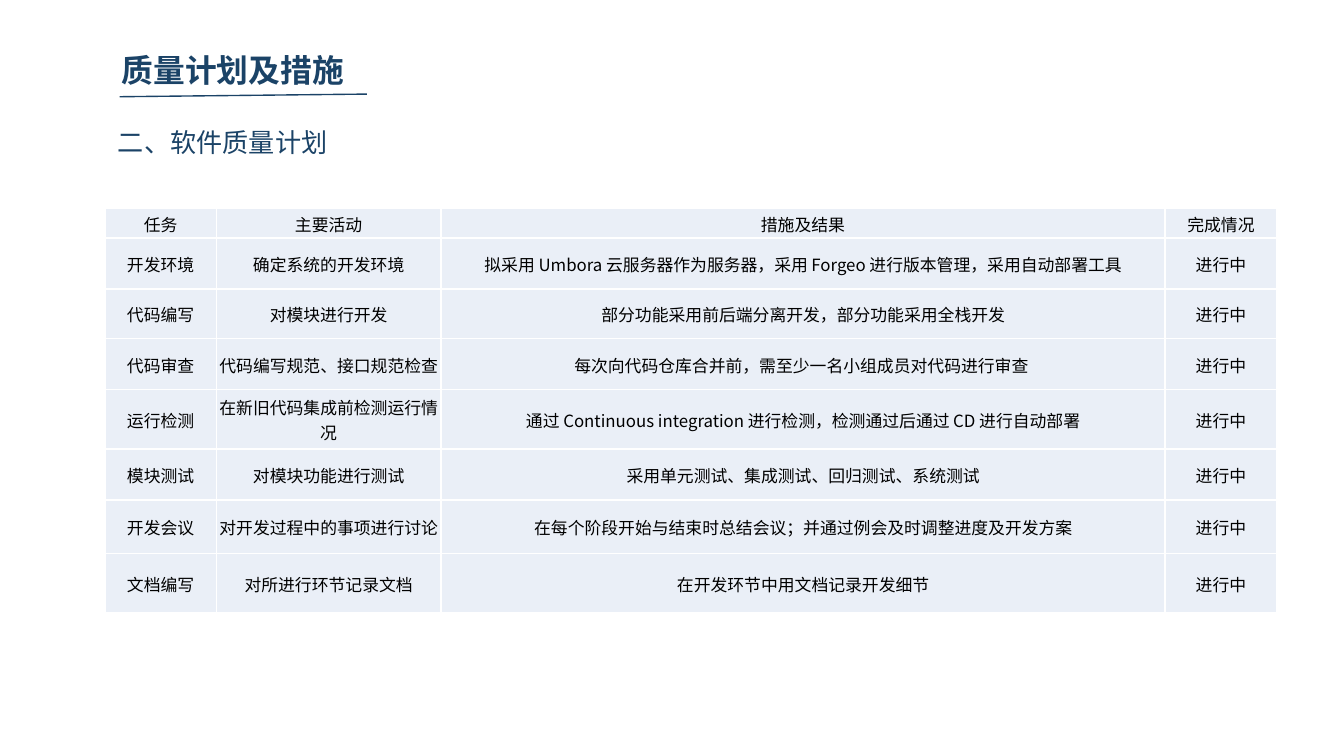
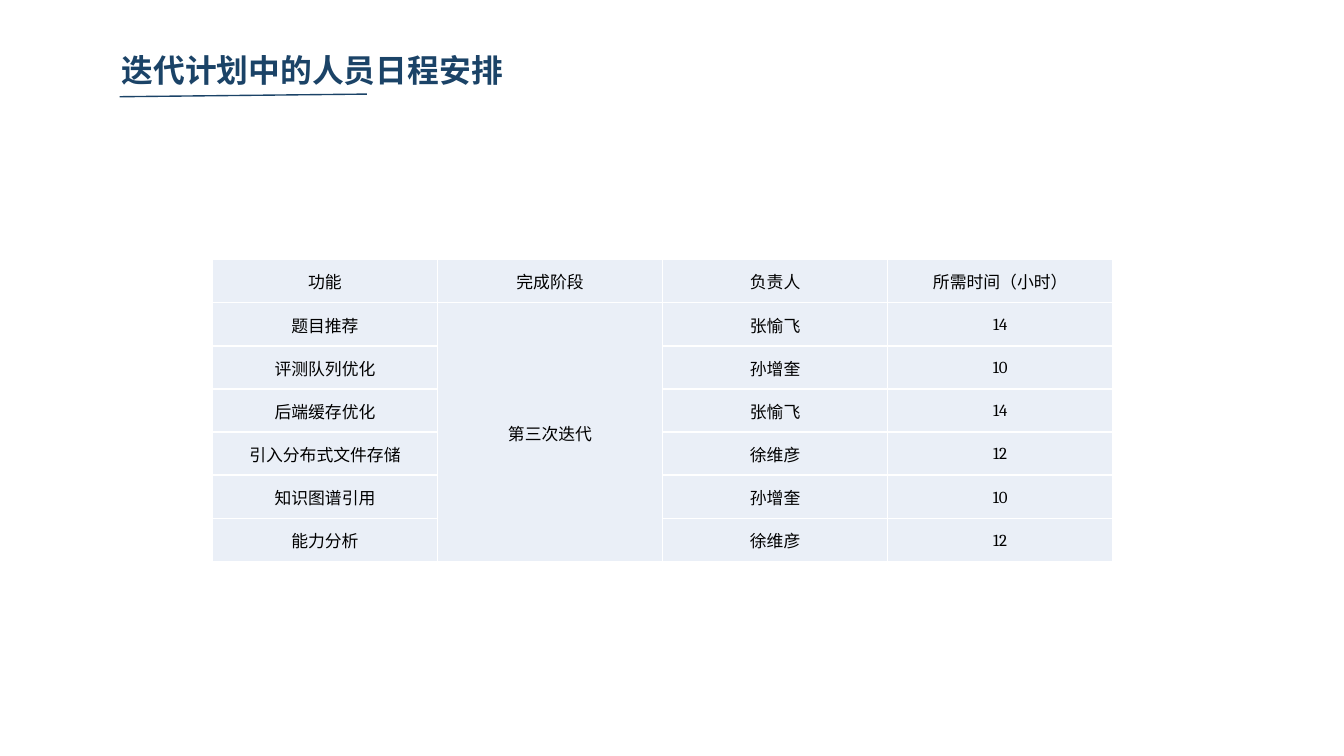
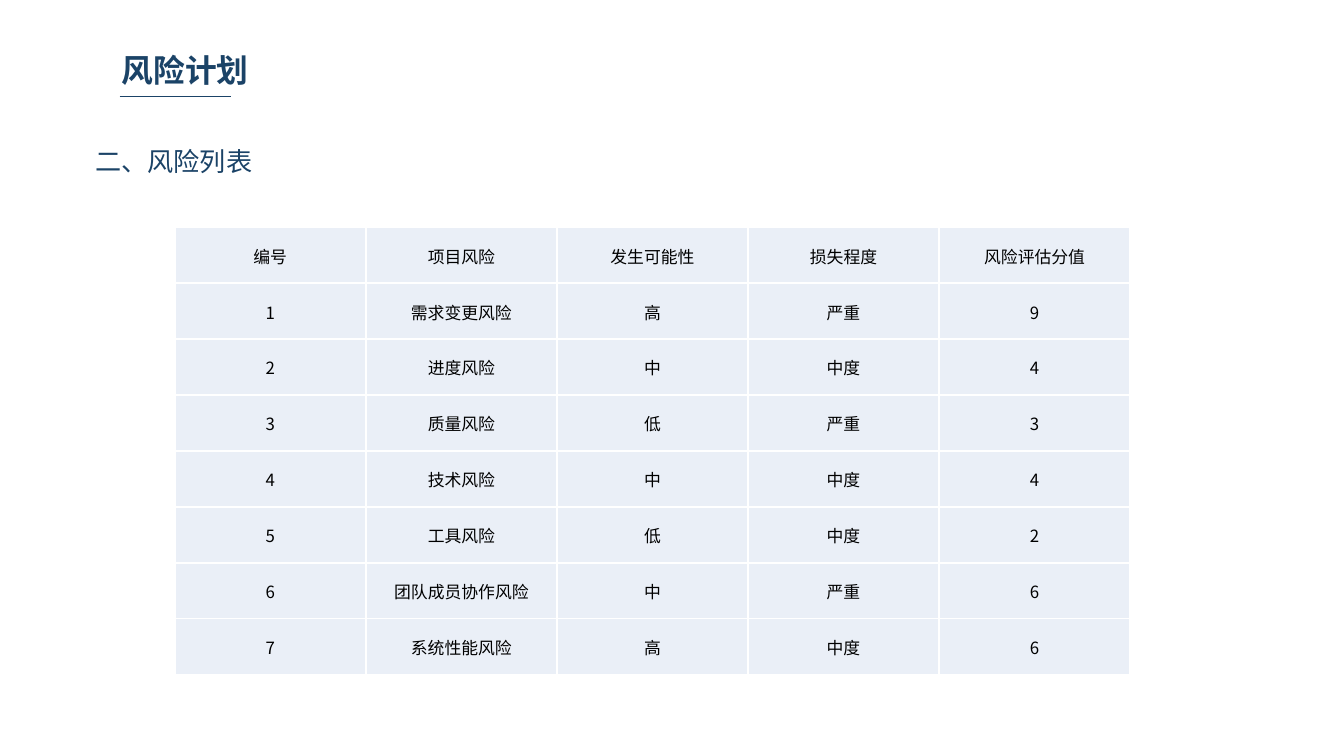
from pptx import Presentation
from pptx import util as u
from pptx.dml.color import RGBColor
from pptx.enum import shapes, text
from pptx.oxml import ns
from lxml import etree

NAVY, BLACK, WHITE, PALE = "1B4367", "000000", "FFFFFF", "EAEFF7"
SANS, SERIF = "Noto Sans CJK SC", "Cambria"
TITLE_BOX = (0.78, 0.34, 3.91, 0.36)
CELL_INSETS = (0.01, 0.01, 0.01, 0)
ONGOING = "进行中"


def colour(hex_string):
    return RGBColor.from_string(hex_string)


def write(frame, words, size=9, font=SANS, ink=BLACK, bold=False,
          align=text.PP_ALIGN.LEFT):
    paragraph = frame.paragraphs[0]
    paragraph.alignment = align
    run = paragraph.add_run()
    run.text = words
    run.font.size = u.Pt(size)
    run.font.bold = bold
    run.font.name = font
    run.font.color.rgb = colour(ink)
    east_asian = etree.SubElement(run.font._element, ns.qn("a:ea"))
    east_asian.set("typeface", SANS)


def set_insets(target, left, top, right, bottom):
    target.margin_left, target.margin_top = u.Inches(left), u.Inches(top)
    target.margin_right, target.margin_bottom = u.Inches(right), u.Inches(bottom)


def add_heading(slide, words, box, rule_width, rise):
    title = slide.shapes.title
    left, top, width, height = map(u.Inches, box)
    title.left, title.top, title.width, title.height = left, top, width, height
    frame = title.text_frame
    frame.auto_size = text.MSO_AUTO_SIZE.NONE
    frame.word_wrap = True
    frame.vertical_anchor = text.MSO_ANCHOR.TOP
    set_insets(frame, 0.07, 0.04, 0.07, 0.04)
    write(frame, " " + words, size=17, ink=NAVY, bold=True)

    start_x, start_y = left + u.Inches(0.11), top + u.Inches(0.38)
    rule = slide.shapes.add_connector(
        shapes.MSO_CONNECTOR.STRAIGHT, start_x, start_y,
        start_x + u.Inches(rule_width), start_y - u.Inches(rise))
    rule.line.color.rgb = colour(NAVY)
    rule.line.width = u.Pt(0.75)
    etree.SubElement(rule._element.spPr, ns.qn("a:effectLst"))


def add_section(slide, words, box, align=text.PP_ALIGN.LEFT):
    section = slide.shapes.add_textbox(*map(u.Inches, box))
    section.text_frame.word_wrap = False
    write(section.text_frame, words, size=14, ink=NAVY, align=align)


def add_borders(cell):
    properties = cell._tc.get_or_add_tcPr()
    for side in ("lnL", "lnR", "lnT", "lnB"):
        border = etree.SubElement(properties, ns.qn("a:" + side), w=str(u.Pt(1)))
        fill = etree.SubElement(border, ns.qn("a:solidFill"))
        etree.SubElement(fill, ns.qn("a:srgbClr"), val=WHITE)


def add_grid(slide, records, box, widths=None, heights=None, body_font=SANS, merged=None):
    row_count, column_count = len(records), len(records[0])
    left, top, width, height = box
    widths = widths or [width / column_count] * column_count
    heights = heights or [height / row_count] * row_count
    grid = slide.shapes.add_table(row_count, column_count, *map(u.Inches, box)).table
    grid.first_row = grid.horz_banding = False
    for column, size in zip(grid.columns, widths):
        column.width = u.Inches(size)
    for row, size in zip(grid.rows, heights):
        row.height = u.Inches(size)
    if merged:
        first, last = merged
        grid.cell(*first).merge(grid.cell(*last))
    for r, record in enumerate(records):
        for c, words in enumerate(record):
            cell = grid.cell(r, c)
            add_borders(cell)
            cell.fill.solid()
            cell.fill.fore_color.rgb = colour(PALE)
            set_insets(cell, *CELL_INSETS)
            cell.vertical_anchor = text.MSO_ANCHOR.MIDDLE
            if words:
                write(cell.text_frame, words, font=body_font if r else SANS,
                      align=text.PP_ALIGN.CENTER)


def add_slide(deck, heading, rule_width=1.84, rise=0.02):
    slide = deck.slides.add_slide(deck.slide_layouts[5])
    add_heading(slide, heading, TITLE_BOX, rule_width, rise)
    return slide


def quality_slide(deck):
    slide = add_slide(deck, "质量计划及措施")
    add_section(slide, "二、软件质量计划", (0.78, 0.89, 1.77, 0.34))
    tasks = [
        ("开发环境", "确定系统的开发环境",
         "拟采用 Umbora 云服务器作为服务器，采用 Forgeo 进行版本管理，采用自动部署工具"),
        ("代码编写", "对模块进行开发", "部分功能采用前后端分离开发，部分功能采用全栈开发"),
        ("代码审查", "代码编写规范、接口规范检查",
         "每次向代码仓库合并前，需至少一名小组成员对代码进行审查 "),
        ("运行检测", "在新旧代码集成前检测运行情况",
         "通过 Continuous integration 进行检测，检测通过后通过 CD 进行自动部署"),
        ("模块测试", "对模块功能进行测试", "采用单元测试、集成测试、回归测试、系统测试"),
        ("开发会议", "对开发过程中的事项进行讨论",
         "在每个阶段开始与结束时总结会议；并通过例会及时调整进度及开发方案"),
        ("文档编写", "对所进行环节记录文档", "在开发环节中用文档记录开发细节"),
    ]
    records = [("任务", "主要活动", "措施及结果", "完成情况")]
    records += [(*task, ONGOING) for task in tasks]
    add_grid(slide, records, (0.78, 1.55, 8.72, 3.01),
             widths=(0.83, 1.67, 5.39, 0.83),
             heights=(0.22, 0.38, 0.37, 0.38, 0.44, 0.38, 0.4, 0.44))


def schedule_slide(deck):
    slide = add_slide(deck, "迭代计划中的人员日程安排")
    records = [
        ("功能", "完成阶段", "负责人", "所需时间（小时）"),
        ("题目推荐", "第三次迭代", "张愉飞", "14"),
        ("评测队列优化", "", "孙增奎", "10"),
        ("后端缓存优化", "", "张愉飞", "14"),
        ("引入分布式文件存储", "", "徐维彦", "12"),
        ("知识图谱引用", "", "孙增奎", "10"),
        ("能力分析", "", "徐维彦", "12"),
    ]
    add_grid(slide, records, (1.58, 1.93, 6.7, 2.25), body_font=SERIF,
             merged=((1, 1), (6, 1)))


def risk_slide(deck):
    slide = add_slide(deck, "风险计划", rule_width=0.83, rise=0)
    add_section(slide, "二、风险列表", (0.61, 1.03, 1.38, 0.34),
                align=text.PP_ALIGN.JUSTIFY)
    risks = [
        ("需求变更风险", "高", "严重", "9"),
        ("进度风险", "中", "中度", "4"),
        ("质量风险", "低", "严重", "3"),
        ("技术风险", "中", "中度", "4"),
        ("工具风险", "低", "中度", "2"),
        ("团队成员协作风险", "中", "严重", "6"),
        ("系统性能风险", "高", "中度", "6"),
    ]
    records = [("编号", "项目风险", "发生可能性", "损失程度", "风险评估分值")]
    records += [(str(number), *risk) for number, risk in enumerate(risks, 1)]
    add_grid(slide, records, (1.3, 1.69, 7.11, 3.33))


deck = Presentation()
deck.slide_width = u.Inches(10)
deck.slide_height = deck.slide_width * 9 // 16
quality_slide(deck)
schedule_slide(deck)
risk_slide(deck)
deck.save("out.pptx")
